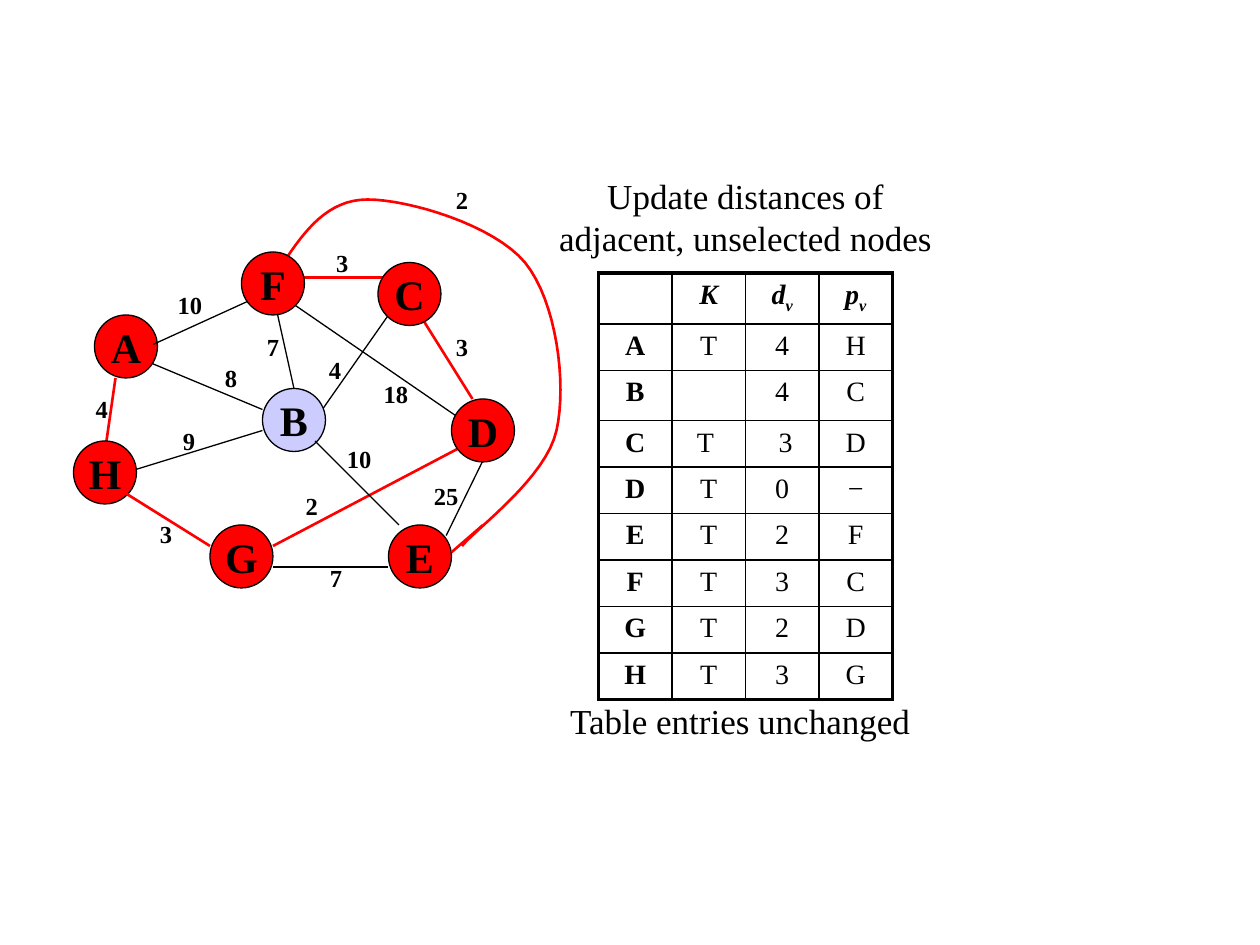
from dataclasses import dataclass

from lxml.etree import SubElement
from pptx import Presentation
from pptx.dml.color import RGBColor
from pptx.enum.shapes import MSO_CONNECTOR, MSO_SHAPE
from pptx.enum.text import MSO_ANCHOR, MSO_AUTO_SIZE, PP_ALIGN
from pptx.oxml.ns import qn
from pptx.util import Inches, Pt

BLACK = RGBColor(0x00, 0x00, 0x00)
RED = RGBColor(0xFF, 0x00, 0x00)
LAVENDER = RGBColor(0xCC, 0xCC, 0xFF)
FONT = "Times New Roman"
CELL = Inches(1) / 12  # the slide is a grid of 120 columns and 90 rows
NODE_SIZE = 6

# Top left corner of each node, in grid cells of the graph
NODES = {"A": (2, 14), "H": (0, 26), "B": (18, 21), "F": (16, 8),
         "E": (30, 34), "D": (36, 22), "C": (29, 9), "G": (13, 34)}

# Start, end, whether the edge is in the tree
EDGES_BEHIND_NODES = [
    ((40.4, 25), (35.5, 35), False),
    ((19, 12), (21, 21), False),
    ((23, 24), (30, 14), False),
    ((37, 24), (21, 13), False),
    ((5, 29), (18, 25), False),
    ((19, 36), (38, 26), True),
    ((3, 27), (4, 20), True),
    ((6, 18), (18, 23), False),
    ((21.5, 10.4), (31, 10.4), True),
    ((33, 14), (38, 22), True),
]
EDGES_OVER_NODES = [
    ((23, 26), (31, 34), False),
    ((30, 38), (19, 38), False),
    ((13, 36), (5, 31), True),
    ((7.6, 16.8), (16.6, 12.7), False),
    ((39, 34), (36, 36.6), True),
]
# Each curve goes on from the last point of the one before
LOOP_START = (20, 9)
LOOP_CURVES = [((22, 6), (24.2, 3), (28, 3)),
               ((31.9, 3), (40, 5.4), (43, 9)),
               ((46, 12.7), (47, 20.5), (46, 25)),
               ((45, 29.5), (38.5, 34.2), (37, 36))]
# Weight and the centre of its label
WEIGHTS = [("4", 2.7, 22.9), ("25", 35.5, 31.2), ("7", 25, 39), ("2", 22.7, 32.2),
           ("10", 27.2, 27.7), ("18", 30.7, 21.5), ("3", 37, 17), ("4", 24.9, 19.2),
           ("3", 25.6, 9), ("7", 19, 17), ("8", 15, 20), ("9", 11, 26),
           ("3", 8.8, 34.8), ("10", 11.1, 13), ("2", 37, 3)]

HEADER = ["", "K", "dv", "pv"]
ROWS = [["A", "T", "4", "H"], ["B", "", "4", "C"], ["C", "T ", " 3", "D"],
        ["D", "T", "0", "−"], ["E", "T", "2", "F"], ["F", "T", "3", "C"],
        ["G", "T", "2", "D"], ["H", "T", "3", "G"]]


@dataclass
class Box:
    left: float
    top: float
    width: float
    height: float

    def inner(self, column, row, width, height):
        return Box(self.left + column, self.top + row, width, height)

    def point(self, position):
        column, row = position
        return round((self.left + column) * CELL), round((self.top + row) * CELL)

    def frame(self):
        return [round(side * CELL) for side in (self.left, self.top, self.width, self.height)]


def add_run(paragraph, text, size, bold=False, italic=False, subscript=False):
    paragraph.alignment = PP_ALIGN.CENTER
    run = paragraph.add_run()
    run.text = text
    font = run.font
    font.name, font.size, font.bold, font.italic = FONT, Pt(size), bold, italic
    font.color.rgb = BLACK
    if subscript:
        run._r.get_or_add_rPr().set("baseline", "-25000")


def add_label(slide, box, text, size, bold=False):
    text_frame = slide.shapes.add_textbox(*box.frame()).text_frame
    text_frame.word_wrap = True
    text_frame.auto_size = MSO_AUTO_SIZE.SHAPE_TO_FIT_TEXT
    add_run(text_frame.paragraphs[0], text, size, bold)


def add_edges(slide, box, edges):
    for start, end, in_tree in edges:
        edge = slide.shapes.add_connector(
            MSO_CONNECTOR.STRAIGHT, *box.point(start), *box.point(end))
        edge.line.color.rgb = RED if in_tree else BLACK
        edge.line.width = Pt(1.5 if in_tree else 0.75)
        SubElement(edge._element.spPr, qn("a:effectLst"))


def bezier_points(start, first, second, end, steps=16):
    for step in range(1, steps + 1):
        t = step / steps
        u = 1 - t
        yield tuple(u**3 * a + 3 * u * u * t * b + 3 * u * t * t * c + t**3 * d
                    for a, b, c, d in zip(start, first, second, end))


def add_loop(slide, box):
    """Draw the curved tree edge from F to E."""
    points, start = [], LOOP_START
    for curve in LOOP_CURVES:
        points.extend(bezier_points(start, *curve))
        start = curve[-1]
    builder = slide.shapes.build_freeform(*box.point(LOOP_START))
    builder.add_line_segments([box.point(point) for point in points], close=False)
    loop = builder.convert_to_shape()
    loop.shadow.inherit = False
    loop.fill.background()
    loop.line.color.rgb = RED
    loop.line.width = Pt(1.5)


def add_node(slide, box, name):
    node = slide.shapes.add_shape(MSO_SHAPE.OVAL, *box.frame())
    node.shadow.inherit = False
    node.fill.solid()
    node.fill.fore_color.rgb = LAVENDER if name == "B" else RED
    node.line.color.rgb = BLACK
    node.line.width = Pt(0.75)
    node.text_frame.word_wrap = False
    node.text_frame.vertical_anchor = MSO_ANCHOR.MIDDLE
    add_run(node.text_frame.paragraphs[0], name, 24, bold=True)


def add_graph(slide, box):
    add_loop(slide, box)
    add_edges(slide, box, EDGES_BEHIND_NODES)
    for name, (column, row) in NODES.items():
        add_node(slide, box.inner(column, row, NODE_SIZE, NODE_SIZE), name)
    add_edges(slide, box, EDGES_OVER_NODES)
    for weight, column, row in WEIGHTS:
        width = 4 if len(weight) == 1 else 6.2
        add_label(slide, box.inner(column - width / 2, row - 2, width, 4), weight, 14, bold=True)


def set_borders(cell, outer_sides):
    properties = cell._tc.get_or_add_tcPr()
    for side in "LRTB":
        width = Pt(2.25 if side in outer_sides else 1)
        line = SubElement(properties, qn(f"a:ln{side}"), w=str(width))
        fill = SubElement(line, qn("a:solidFill"))
        SubElement(fill, qn("a:srgbClr"), val=str(BLACK))


def add_distance_table(slide, box):
    rows = [HEADER] + ROWS
    last_row, last_column = len(rows) - 1, len(HEADER) - 1
    table = slide.shapes.add_table(len(rows), len(HEADER), *box.frame()).table
    table.first_row = table.horz_banding = False
    for i, row in enumerate(rows):
        for j, text in enumerate(row):
            cell = table.cell(i, j)
            sides = {"L": j == 0, "R": j == last_column, "T": i == 0, "B": i == last_row}
            set_borders(cell, [side for side, outer in sides.items() if outer])
            cell.fill.background()
            paragraph = cell.text_frame.paragraphs[0]
            if i == 0 and text:
                add_run(paragraph, text[0], 16, bold=True, italic=True)
                if text[1:]:
                    add_run(paragraph, text[1:], 16, bold=True, italic=True, subscript=True)
            elif text:
                add_run(paragraph, text, 16, bold=j == 0)


def main():
    presentation = Presentation()
    presentation.slide_width, presentation.slide_height = Inches(10), Inches(7.5)
    slide = presentation.slides.add_slide(presentation.slide_layouts[6])
    add_graph(slide, Box(7, 16, 47, 41))
    add_label(slide, Box(52, 16, 38, 9.2), "Update distances of adjacent, unselected nodes", 20)
    add_distance_table(slide, Box(57, 26, 28, 39.8))
    add_label(slide, Box(52, 66, 37, 5.2), "Table entries unchanged", 20)
    presentation.save("out.pptx")


if __name__ == "__main__":
    main()
